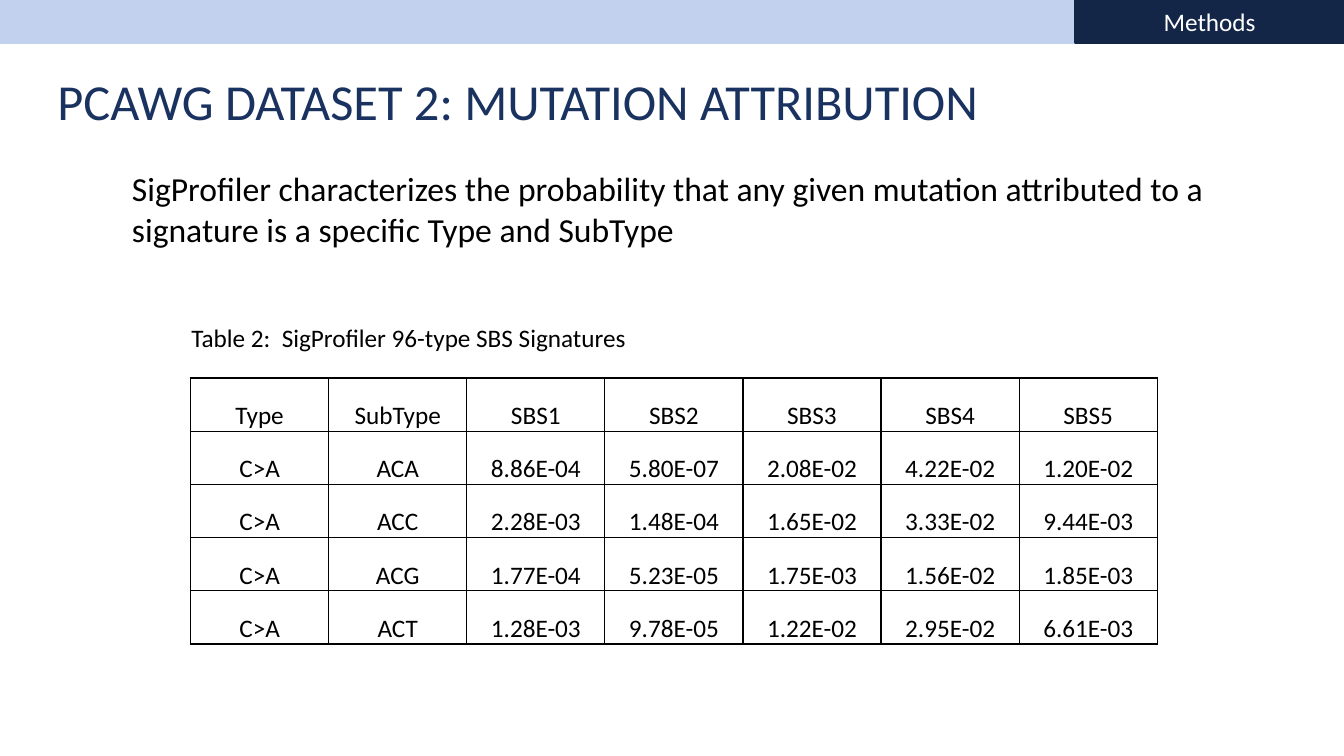
import pptx
import pptx.dml.color
import pptx.enum.shapes
import pptx.enum.text
import pptx.oxml
import pptx.oxml.ns
import pptx.util

ANCHOR = pptx.enum.text.MSO_ANCHOR
ALIGN = pptx.enum.text.PP_ALIGN
WIDTH, HEIGHT = 13.33, 7.5
FONT = "Calibri"
COLORS = {
    "title": "1A3260",
    "text": "000000",
    "tab": "C2D1EE",
    "current": "142648",
    "on_current": "FFFFFF",
    "border": "000000",
}
SECTION_TABS = ["", "", "", "", "Methods"]
SIGNATURES = [
    ["Type", "SubType", "SBS1", "SBS2", "SBS3", "SBS4", "SBS5"],
    ["C>A", "ACA", "8.86E-04", "5.80E-07", "2.08E-02", "4.22E-02", "1.20E-02"],
    ["C>A", "ACC", "2.28E-03", "1.48E-04", "1.65E-02", "3.33E-02", "9.44E-03"],
    ["C>A", "ACG", "1.77E-04", "5.23E-05", "1.75E-03", "1.56E-02", "1.85E-03"],
    ["C>A", "ACT", "1.28E-03", "9.78E-05", "1.22E-02", "2.95E-02", "6.61E-03"],
]


def inches(*lengths):
    return [pptx.util.Inches(length) for length in lengths]


def color(name):
    return pptx.dml.color.RGBColor.from_string(COLORS[name])


def write(frame, text, size=18, ink="text", align=ALIGN.LEFT, anchor=ANCHOR.TOP):
    """Put one formatted paragraph into a text frame."""
    frame.word_wrap = True
    frame.vertical_anchor = anchor
    para = frame.paragraphs[0]
    para.alignment = align
    span = para.add_run()
    span.text = text
    span.font.name = FONT
    span.font.size = pptx.util.Pt(size)
    span.font.color.rgb = color(ink)


def add_text(page, box, text, **style):
    write(page.shapes.add_textbox(*inches(*box)).text_frame, text, **style)


def add_title(page, box, text):
    title = page.shapes.title
    title.left, title.top, title.width, title.height = inches(*box)
    title.text_frame.auto_size = pptx.enum.text.MSO_AUTO_SIZE.NONE
    write(title.text_frame, text, size=36, ink="title", anchor=ANCHOR.BOTTOM)


def add_section_tabs(page, box, labels):
    """Split the box evenly; the labelled tab is the current section."""
    left, top, width, height = box
    step = width / len(labels)
    for index, label in enumerate(labels):
        tab = page.shapes.add_shape(
            pptx.enum.shapes.MSO_SHAPE.RECTANGLE,
            *inches(left + index * step, top, step, height))
        tab.shadow.inherit = False
        shade = color("current" if label else "tab")
        tab.fill.solid()
        tab.fill.fore_color.rgb = shade
        tab.line.color.rgb = shade
        tab.line.width = pptx.util.Pt(1.75)
        if label:
            write(tab.text_frame, label, ink="on_current",
                  align=ALIGN.CENTER, anchor=ANCHOR.MIDDLE)


def add_borders(cell, points=1):
    properties = cell._tc.get_or_add_tcPr()
    for index, side in enumerate(["lnL", "lnR", "lnT", "lnB"]):
        properties.insert(index, pptx.oxml.parse_xml(
            f'<a:{side} {pptx.oxml.ns.nsdecls("a")} w="{pptx.util.Pt(points)}">'
            f'<a:solidFill><a:srgbClr val="{COLORS["border"]}"/></a:solidFill>'
            f'</a:{side}>'))


def add_grid(page, box, rows):
    """Equal columns and rows, with text resting on the lower border."""
    grid = page.shapes.add_table(len(rows), len(rows[0]), *inches(*box)).table
    grid.first_row = grid.horz_banding = False
    for row, values in enumerate(rows):
        for column, value in enumerate(values):
            cell = grid.cell(row, column)
            cell.margin_left = cell.margin_right = cell.margin_top = pptx.util.Inches(0.01)
            cell.margin_bottom = 0
            cell.fill.background()
            write(cell.text_frame, value, align=ALIGN.CENTER)
            cell.vertical_anchor = ANCHOR.BOTTOM
            add_borders(cell)


def add_table_slide(deck):
    page = deck.slides.add_slide(deck.slide_layouts[5])
    # Heading and statement
    add_title(page, (0.47, 0.65, 0.92 * WIDTH, 0.7),
              "PCAWG DATASET 2: MUTATION ATTRIBUTION")
    add_text(page, (1.21, 1.62, 10.95, 0.91),
             "SigProfiler characterizes the probability that any given mutation "
             "attributed to a signature is a specific Type and SubType", size=24)
    # Captioned table
    add_text(page, (1.8, 3.15, WIDTH * 2 / 3, 0.4),
             "Table 2:  SigProfiler 96-type SBS Signatures")
    add_grid(page, (1.89, HEIGHT / 2, 9.59, 2.64), SIGNATURES)
    # Section strip
    add_section_tabs(page, (0, 0, WIDTH, 0.42), SECTION_TABS)


def main():
    deck = pptx.Presentation()
    deck.slide_width, deck.slide_height = inches(WIDTH, HEIGHT)
    add_table_slide(deck)
    deck.save("out.pptx")


if __name__ == "__main__":
    main()
